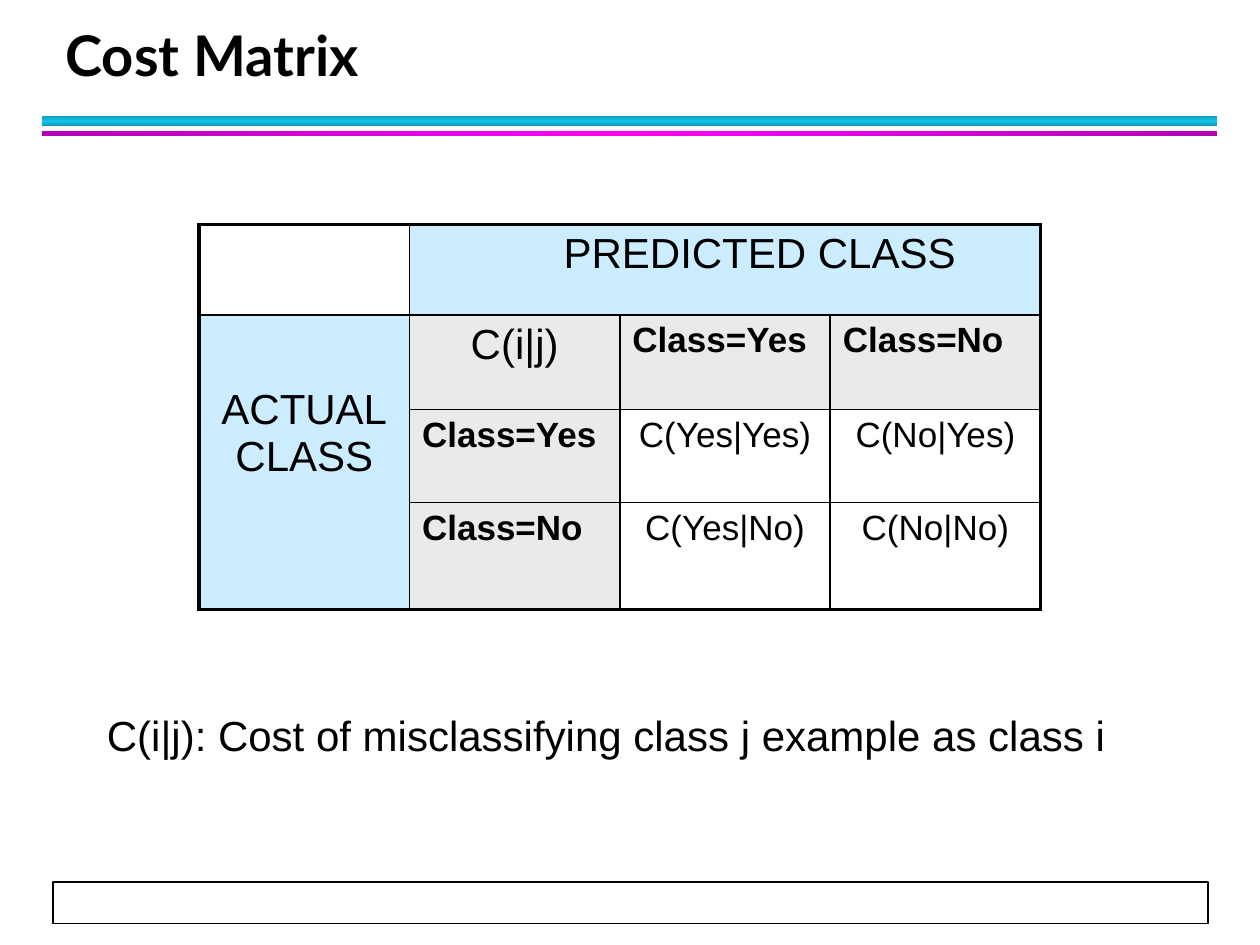
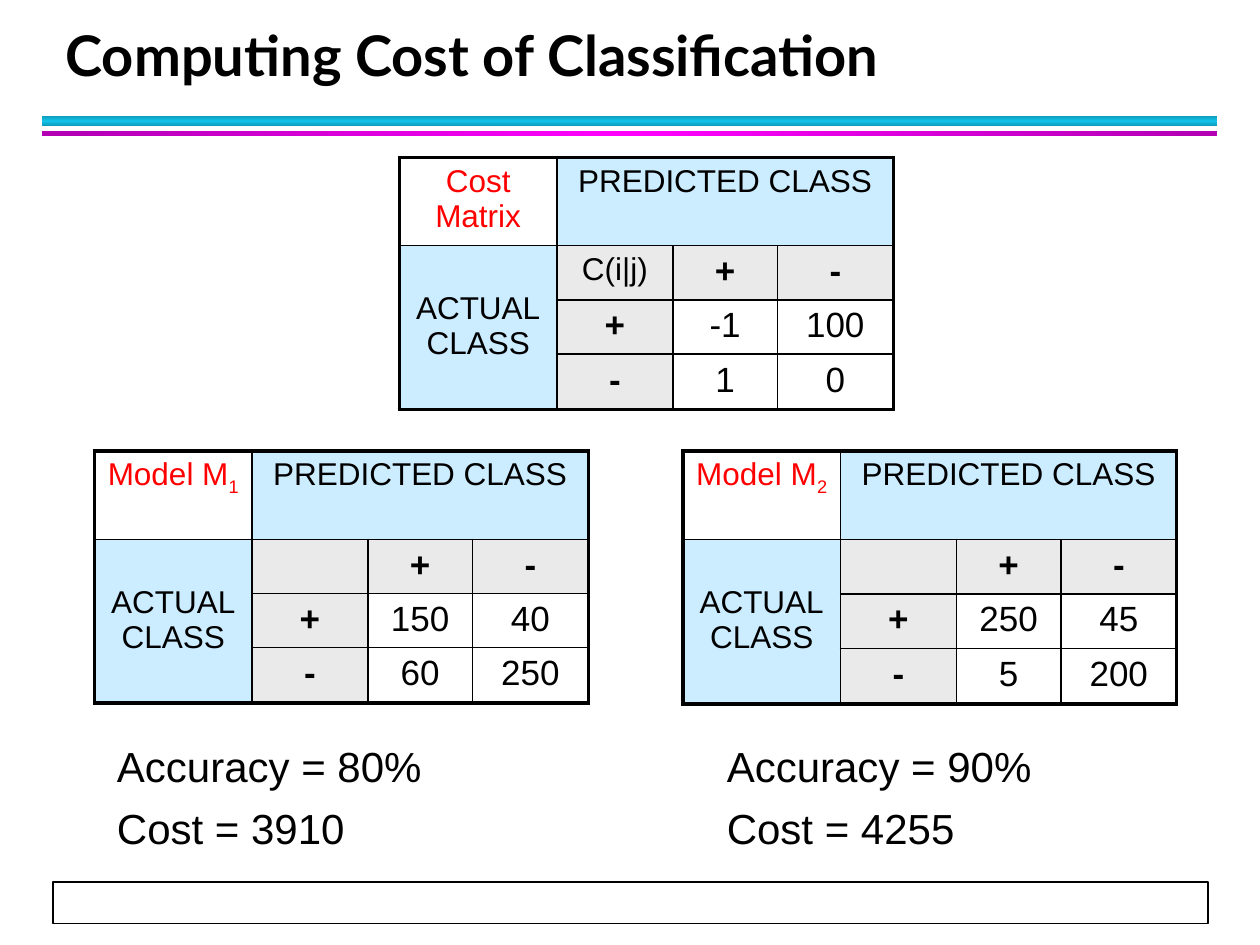
from copy import deepcopy

from lxml.etree import SubElement
from pptx import Presentation
from pptx.dml.color import RGBColor
from pptx.enum.shapes import MSO_SHAPE as SHAPE
from pptx.enum.text import MSO_ANCHOR as ANCHOR, PP_ALIGN as ALIGN
from pptx.oxml.ns import qn
from pptx.util import Inches, Pt

COLORS = {
    "text": "000000",
    "paper": "FFFFFF",
    "accent": "FF0000",
    "class_label": "CCECFF",
    "header": "EAEAEA",
    "cyan_edge": "0E9BBA",
    "cyan": "12C2E9",
    "magenta_edge": "B200B2",
    "magenta": "FF00FF",
}
BODY_FONT, TITLE_FONT = "Arial", "Lato"
THIN, THICK = Pt(1), Pt(2.25)


def rgb(name):
    return RGBColor.from_string(COLORS[name])


class Deck:
    def __init__(self):
        self.prs = Presentation()
        self.prs.slide_width, self.prs.slide_height = Inches(10), Inches(7.5)
        self.slide = None

    def style(self, p, size, color="text", bold=False, font=BODY_FONT):
        for r in p.runs:
            r.font.name, r.font.size, r.font.bold = font, Pt(size), bold
            r.font.color.rgb = rgb(color)

    def new_slide(self, title):
        self.slide = self.prs.slides.add_slide(self.prs.slide_layouts[5])
        self.band(0.92, 0.08, "cyan_edge", "cyan", 90)
        self.band(1.04, 0.04, "magenta_edge", "magenta", 0)
        self.footer()
        sp = self.slide.shapes.title
        sp.left, sp.top = Inches(0.42), Inches(0.17)
        sp.width, sp.height = Inches(9.06), Inches(0.58)
        tf = sp.text_frame
        tf.text = title
        tf.vertical_anchor = ANCHOR.BOTTOM
        p = tf.paragraphs[0]
        p.alignment, p.line_spacing = ALIGN.LEFT, 1.12
        self.style(p, 32, bold=True, font=TITLE_FONT)

    def rect(self, left, top, width, height):
        sp = self.slide.shapes.add_shape(
            SHAPE.RECTANGLE, Inches(left), Inches(top), Inches(width), Inches(height))
        sp.shadow.inherit = False
        return sp

    def band(self, top, height, edge, middle, angle):
        sp = self.rect(0.33, top, 9.33, height)
        sp.line.fill.background()
        sp.fill.gradient()
        sp.fill.gradient_angle = angle
        stops = sp._element.spPr.find(".//" + qn("a:gsLst"))
        stops.append(deepcopy(stops[-1]))
        for stop, position, color in zip(
                sp.fill.gradient_stops, (0, 0.5, 1), (edge, middle, edge)):
            stop.position = position
            stop.color.rgb = rgb(color)

    def footer(self):
        sp = self.rect(0.42, 7, 9.17, 0.33)
        sp.fill.solid()
        sp.fill.fore_color.rgb = rgb("paper")
        sp.line.color.rgb = rgb("text")
        sp.line.width = THIN

    def text(self, left, top, width, height, lines):
        sp = self.slide.shapes.add_textbox(
            Inches(left), Inches(top), Inches(width), Inches(height))
        tf = sp.text_frame
        tf.word_wrap = True
        tf.text = "\n".join(lines)
        for i, p in enumerate(tf.paragraphs):
            p.space_before = Pt(6.4 if i else 0)
            self.style(p, 24)

    def borders(self, cell, row, col):
        last_row, last_col = row + cell.span_height, col + cell.span_width
        outer = {"L": col == 0, "R": last_col == 4, "T": row == 0, "B": last_row == 4}
        for side, is_outer in outer.items():
            ln = SubElement(cell._tc.get_or_add_tcPr(), qn("a:ln" + side),
                            w=str(THICK if is_outer else THIN))
            fill = SubElement(ln, qn("a:solidFill"))
            SubElement(fill, qn("a:srgbClr"), val=COLORS["text"])

    def matrix(self, left, top, cols, rows, classes, values, corner="", subscript="",
               key="", label_size=18, header_align=ALIGN.CENTER,
               predicted_indent=0.1, actual_drop=0.36):
        table = self.slide.shapes.add_table(
            4, 4, Inches(left), Inches(top), Inches(sum(cols)), Inches(sum(rows))).table
        table.first_row = table.horz_banding = False
        for column, width in zip(table.columns, cols):
            column.width = Inches(width)
        for line, height in zip(table.rows, rows):
            line.height = Inches(height)
        table.cell(0, 1).merge(table.cell(0, 3))
        table.cell(1, 0).merge(table.cell(3, 0))
        grid = [[corner, "PREDICTED CLASS", "", ""],
                ["ACTUAL\vCLASS", key, *classes],
                *(["", name, *line] for name, line in zip(classes, values))]
        for row, texts in enumerate(grid):
            for col, text in enumerate(texts):
                cell = table.cell(row, col)
                self.borders(cell, row, col)
                is_label = row == 0 or col == 0
                is_corner = row == col == 0
                is_header = not is_label and (row == 1 or col == 1)
                is_name = is_header and row != col
                if is_corner:
                    cell.fill.background()
                else:
                    cell.fill.solid()
                    cell.fill.fore_color.rgb = rgb(
                        "class_label" if is_label else "header" if is_header else "paper")
                if not text:
                    continue
                cell.text_frame.text = text
                p = cell.text_frame.paragraphs[0]
                if is_corner and subscript:
                    r = p.add_run()
                    r.text = subscript
                    r.font._element.set("baseline", "-25000")
                p.alignment = header_align if is_name else ALIGN.CENTER
                size = label_size if is_label or row == col == 1 else 20
                self.style(p, size, "accent" if is_corner else "text", is_name)
        table.cell(0, 1).margin_left = Inches(predicted_indent)
        table.cell(1, 0).margin_top = Inches(actual_drop)


def main():
    deck = Deck()

    deck.new_slide("Cost Matrix")
    deck.matrix(1.58, 1.78, [1.67] * 4, [0.72, 0.75, 0.74, 0.85],
                ["Class=Yes", "Class=No"],
                [["C(Yes|Yes)", "C(No|Yes)"], ["C(Yes|No)", "C(No|No)"]],
                key="C(i|j)", label_size=24, header_align=ALIGN.LEFT,
                predicted_indent=0.65, actual_drop=0.57)
    deck.text(0.75, 5.58, 8.58, 1,
              ["C(i|j): Cost of misclassifying class j example as class i"])

    deck.new_slide("Computing Cost of Classification")
    layout = dict(cols=[1.25, 0.92, 0.83, 0.92], rows=[0.7, 0.43, 0.43, 0.44],
                  classes=["+", "-"])
    deck.matrix(3.17, 1.25, values=[["-1", "100"], ["1", "0"]],
                corner="Cost Matrix", key="C(i|j)", **layout)
    models = [
        ("1", 0.75, 0.83, [["150", "40"], ["60", "250"]], "80%", "3910"),
        ("2", 5.42, 5.67, [["250", "45"], ["5", "200"]], "90%", "4255"),
    ]
    for number, table_left, text_left, values, accuracy, cost in models:
        deck.matrix(table_left, 3.58, values=values, corner="Model M",
                    subscript=number, **layout)
        deck.text(text_left, 5.83, 3.33, 1.08,
                  [f"Accuracy = {accuracy}", f"Cost = {cost}"])

    deck.prs.save("out.pptx")


if __name__ == "__main__":
    main()
